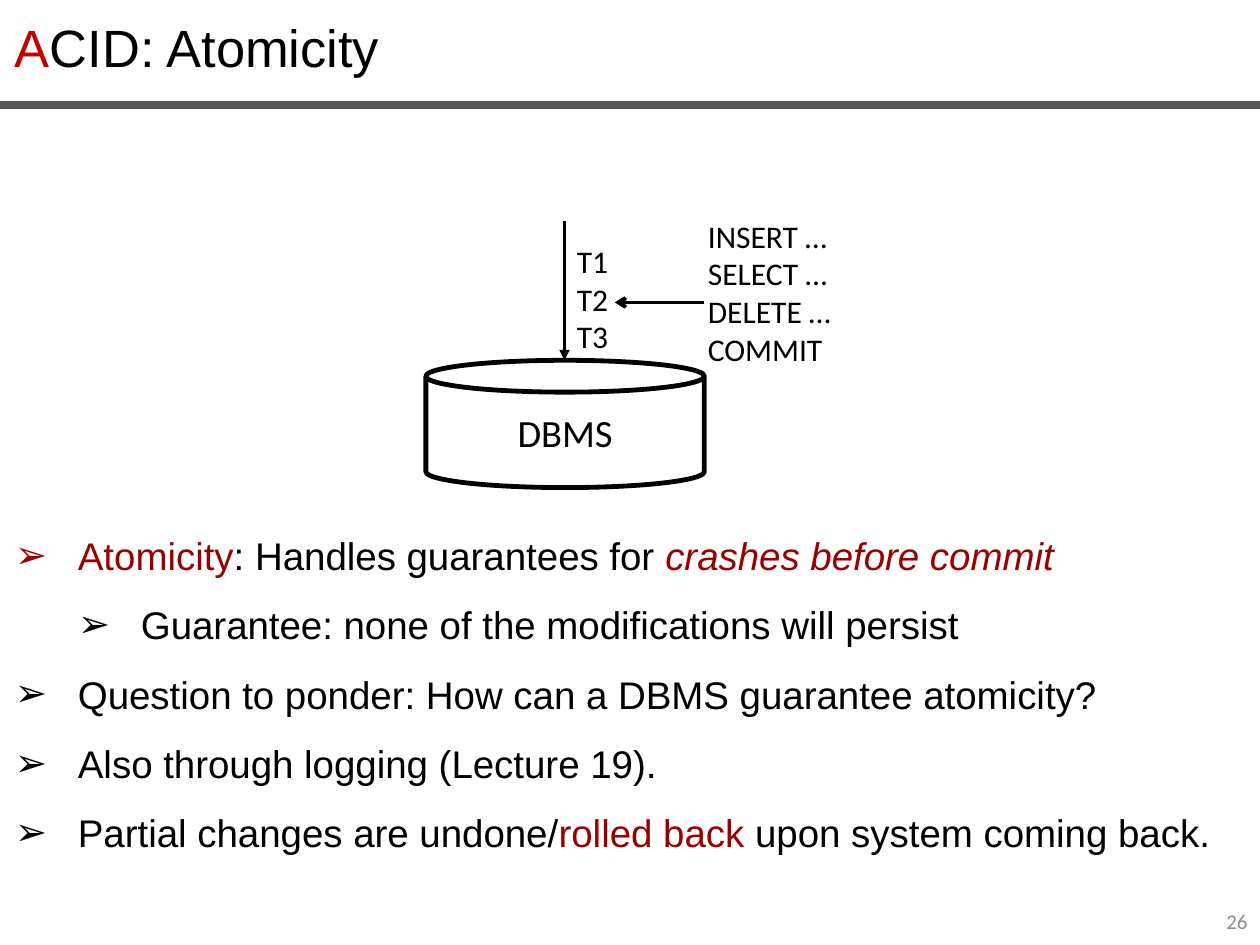
from lxml import etree
from pptx import Presentation
from pptx.dml.color import RGBColor
from pptx.enum.shapes import MSO_CONNECTOR, MSO_SHAPE
from pptx.enum.text import MSO_ANCHOR, PP_ALIGN
from pptx.oxml.ns import qn
from pptx.util import Inches, Pt

STRAIGHT = MSO_CONNECTOR.STRAIGHT
CAN = MSO_SHAPE.CAN
MIDDLE, TOP = MSO_ANCHOR.MIDDLE, MSO_ANCHOR.TOP
LEFT, CENTER, RIGHT = PP_ALIGN.LEFT, PP_ALIGN.CENTER, PP_ALIGN.RIGHT

BLACK, RED, DARK_RED = "000000", "C00000", "990000"
RULE_GRAY, NUMBER_GRAY = "595959", "8C8C8C"
HEADING_FONT, DIAGRAM_FONT = "Arial", "Calibri"


def color(value):
    return RGBColor.from_string(value)


class SlideBuilder:
    def __init__(self, page):
        self.page = page
        self.shapes = page.shapes

    def start_group(self):
        self.shapes = self.page.shapes.add_group_shape().shapes

    def end_group(self):
        self.shapes = self.page.shapes

    def style(self, span, font, size, tint=BLACK, italic=False):
        span.font.name = font
        span.font.size = Pt(size)
        span.font.color.rgb = color(tint)
        span.font.italic = italic

    def spans(self, para, parts, font, size):
        for text, *look in parts:
            span = para.add_run()
            span.text = text
            self.style(span, font, size, *look)

    def frame(self, left, top, width, height, anchor=TOP):
        box = self.shapes.add_textbox(
            Inches(left), Inches(top), Inches(width), Inches(height))
        frame = box.text_frame
        frame.word_wrap = True
        frame.vertical_anchor = anchor
        return frame

    def fill_text(self, frame, text, size, tint=BLACK, align=LEFT):
        frame.text = text
        for para in frame.paragraphs:
            para.alignment = align
            for span in para.runs:
                self.style(span, DIAGRAM_FONT, size, tint)

    def label(self, place, text, size=18, tint=BLACK, align=LEFT, anchor=TOP):
        self.fill_text(self.frame(*place, anchor), text, size, tint, align)

    def title(self, place, parts):
        self.spans(self.frame(*place).paragraphs[0], parts, HEADING_FONT, 30)

    def line(self, start, end, tint=BLACK, width=2, head=None):
        line = self.shapes.add_connector(
            STRAIGHT, *[Inches(value) for value in (*start, *end)])
        line.line.color.rgb = color(tint)
        line.line.width = Pt(width)
        if head:
            outline = line.line._get_or_add_ln()
            etree.SubElement(outline, qn("a:tailEnd"), type=head)
        etree.SubElement(line._element.spPr, qn("a:effectLst"))

    def cylinder(self, place, text):
        can = self.shapes.add_shape(CAN, *[Inches(value) for value in place])
        can.shadow.inherit = False
        can.adjustments[0] = 0.25
        can.fill.background()
        can.line.color.rgb = color(BLACK)
        can.line.width = Pt(2.75)
        can.text_frame.vertical_anchor = MIDDLE
        self.fill_text(can.text_frame, text, 22, align=CENTER)

    def bullets(self, place, items):
        frame = self.frame(*place)
        for index, (level, parts) in enumerate(items):
            para = frame.add_paragraph() if index else frame.paragraphs[0]
            para.level = level
            para.line_spacing = 1.5
            properties = para._p.get_or_add_pPr()
            properties.set("marL", str(Inches(0.5 * (level + 1))))
            properties.set("indent", str(Inches(-0.5)))
            etree.SubElement(properties, qn("a:buFont"), typeface=HEADING_FONT)
            etree.SubElement(properties, qn("a:buChar"), char="➢")
            self.spans(para, parts, HEADING_FONT, 22)


def main():
    deck = Presentation()
    deck.slide_width, deck.slide_height = Inches(10), Inches(7.5)
    slide = SlideBuilder(deck.slides.add_slide(deck.slide_layouts[6]))

    slide.title((0.02, 0.07, 9.98, 0.61), [("A", RED), ("CID: Atomicity",)])
    slide.line((0, 0.83), (10, 0.83), RULE_GRAY, 4.5)
    slide.label((7.67, 7.11, 2.33, 0.4), "26", 12, NUMBER_GRAY, RIGHT, MIDDLE)

    slide.start_group()
    slide.line((4.48, 1.75), (4.48, 2.86), head="triangle")
    slide.cylinder((3.38, 2.86, 2.21, 1.01), "DBMS")
    slide.label((4.48, 1.87, 0.52, 1.01), "T1\nT2\nT3")
    slide.end_group()

    slide.bullets((0.02, 3.99, 10, 2.81), [
        (0, [("Atomicity", DARK_RED), (": Handles guarantees for ",),
             ("crashes before commit", DARK_RED, True)]),
        (1, [("Guarantee: none of the modifications will persist",)]),
        (0, [("Question to ponder: How can a DBMS guarantee atomicity?",)]),
        (0, [("Also through logging (Lecture 19).",)]),
        (0, [("Partial changes are undone/",), ("rolled back ", DARK_RED),
             ("upon system coming back.",)]),
    ])
    slide.line((5.59, 2.4), (4.88, 2.4), head="arrow")
    slide.label((5.52, 1.67, 1.67, 1.31),
                "INSERT …\nSELECT …\nDELETE …\nCOMMIT")

    deck.save("out.pptx")


if __name__ == "__main__":
    main()
